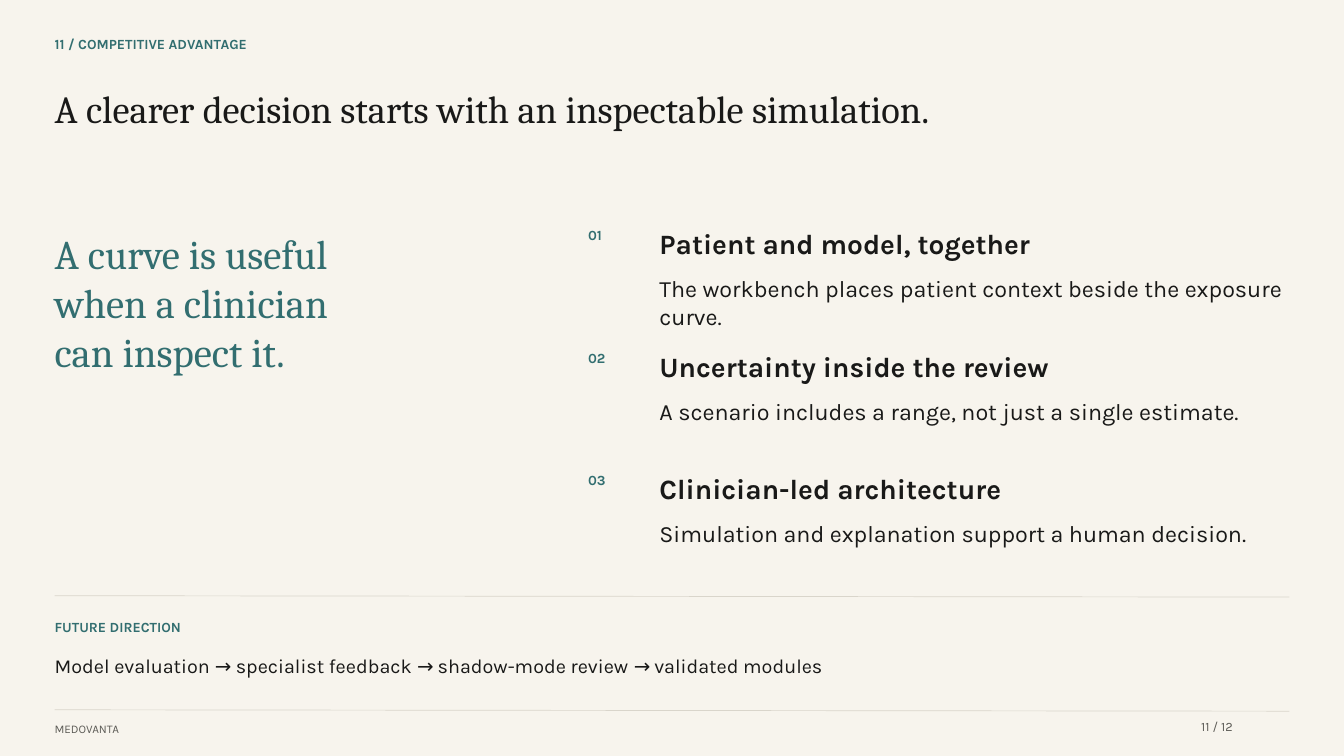
import pptx
import pptx.dml.color
import pptx.enum.shapes
import pptx.enum.text
import pptx.oxml.ns
import pptx.util
from lxml import etree

PX = 9525
LEFT, WIDE = 78, 1764
TEAL, INK, GREY, RULE, PAPER = "326E70", "191918", "5B5A55", "D9D5CB", "F7F4ED"
SERIF, SANS = "Cambria", "Karla"
POINTS = [
    ("Patient and model, together",
     "The workbench places patient context beside the exposure curve."),
    ("Uncertainty inside the review",
     "A scenario includes a range, not just a single estimate."),
    ("Clinician-led architecture",
     "Simulation and explanation support a human decision."),
]


def color(code):
    """Turn a hex string into a colour."""
    return pptx.dml.color.RGBColor.from_string(code)


def place(shape, box):
    """Move a shape to a box given in px."""
    shape.left, shape.top, shape.width, shape.height = (n * PX for n in box)


def fill_text(shape, lines, size, lead, ink, face=SANS, bold=False):
    """Write lines into a shape, one paragraph each."""
    frame = shape.text_frame
    frame.word_wrap = True
    frame.auto_size = pptx.enum.text.MSO_AUTO_SIZE.SHAPE_TO_FIT_TEXT
    frame.vertical_anchor = pptx.enum.text.MSO_ANCHOR.TOP
    frame.margin_left = frame.margin_right = 0
    frame.margin_top = frame.margin_bottom = 0
    frame.text = "\n".join(lines)
    for para in frame.paragraphs:
        para.alignment = pptx.enum.text.PP_ALIGN.LEFT
        para.line_spacing = pptx.util.Pt(lead)
        font = para.font
        font.name, font.size, font.bold = face, pptx.util.Pt(size), bold
        font.color.rgb = color(ink)


def add_text(slide, box, lines, *style, **more):
    """Add a text box at a box given in px."""
    shape = slide.shapes.add_textbox(*(n * PX for n in box))
    fill_text(shape, lines, *style, **more)


def add_label(slide, box, text):
    """Add a small bold teal label."""
    add_text(slide, box, [text], 15, 18, TEAL, bold=True)


def add_rule(slide, x, y, width):
    """Add a thin rule that drops by 2 px."""
    kind = pptx.enum.shapes.MSO_CONNECTOR.STRAIGHT
    ends = (x, y, x + width, y + 2)
    line = slide.shapes.add_connector(kind, *(n * PX for n in ends))
    line.line.color.rgb = color(RULE)
    line.line.width = pptx.util.Pt(0.75)
    etree.SubElement(line._element.spPr, pptx.oxml.ns.qn("a:effectLst"))


def add_head(slide, x, y, width):
    """Add the section label and the title."""
    add_label(slide, (x, y, 1680, 42), "11 / COMPETITIVE ADVANTAGE")
    title = slide.shapes.title
    place(title, (x, y + 70, width, 129))
    fill_text(title, ["A clearer decision starts with an inspectable simulation."],
              41.2, 49.5, INK, SERIF)


def add_quote(slide, box):
    """Add the large statement on the left."""
    lines = ["A curve is useful", "when a clinician", "can inspect it."]
    add_text(slide, box, lines, 43.7, 52.5, TEAL, SERIF)


def add_points(slide, x, y, width, step):
    """Add the numbered points, one per step."""
    inset = 102
    for i, (head, body) in enumerate(POINTS):
        top = y + i * step
        add_label(slide, (x, top, 84, 42), f"{i + 1:02}")
        add_text(slide, (x + inset, top, width - inset, 73),
                 [head], 30, 36, INK, bold=True)
        add_text(slide, (x + inset, top + 68, width - inset, 86),
                 [body], 25, 30, INK)


def add_future(slide, x, y, width):
    """Add the band on future direction."""
    add_rule(slide, x, y, width)
    add_label(slide, (x, y + 32, 1680, 42), "FUTURE DIRECTION")
    steps = ["Model evaluation", "specialist feedback",
             "shadow-mode review", "validated modules"]
    add_text(slide, (x, y + 83, width, 39), [" → ".join(steps)], 21.2, 25.5, INK)


def add_foot(slide, x, y, width):
    """Add the footer with name and page."""
    add_rule(slide, x, y, width)
    add_text(slide, (x, y + 17, 1440, 25), ["MEDOVANTA"], 12.5, 15, GREY)
    add_text(slide, (x + width - 126, y + 13, 126, 31),
             ["11 / 12"], 13.7, 16.5, GREY)


def main():
    """Build and save the slide."""
    deck = pptx.Presentation()
    deck.slide_width, deck.slide_height = 1920 * PX, 1080 * PX
    slide = deck.slides.add_slide(deck.slide_layouts[5])
    slide.background.fill.solid()
    slide.background.fill.fore_color.rgb = color(PAPER)
    add_head(slide, LEFT, 51, WIDE)
    add_quote(slide, (LEFT, 327, 720, 373))
    add_points(slide, 840, 324, 1002, 175)
    add_future(slide, LEFT, 851, WIDE)
    add_foot(slide, LEFT, 1014, WIDE)
    deck.save("out.pptx")


if __name__ == "__main__":
    main()
